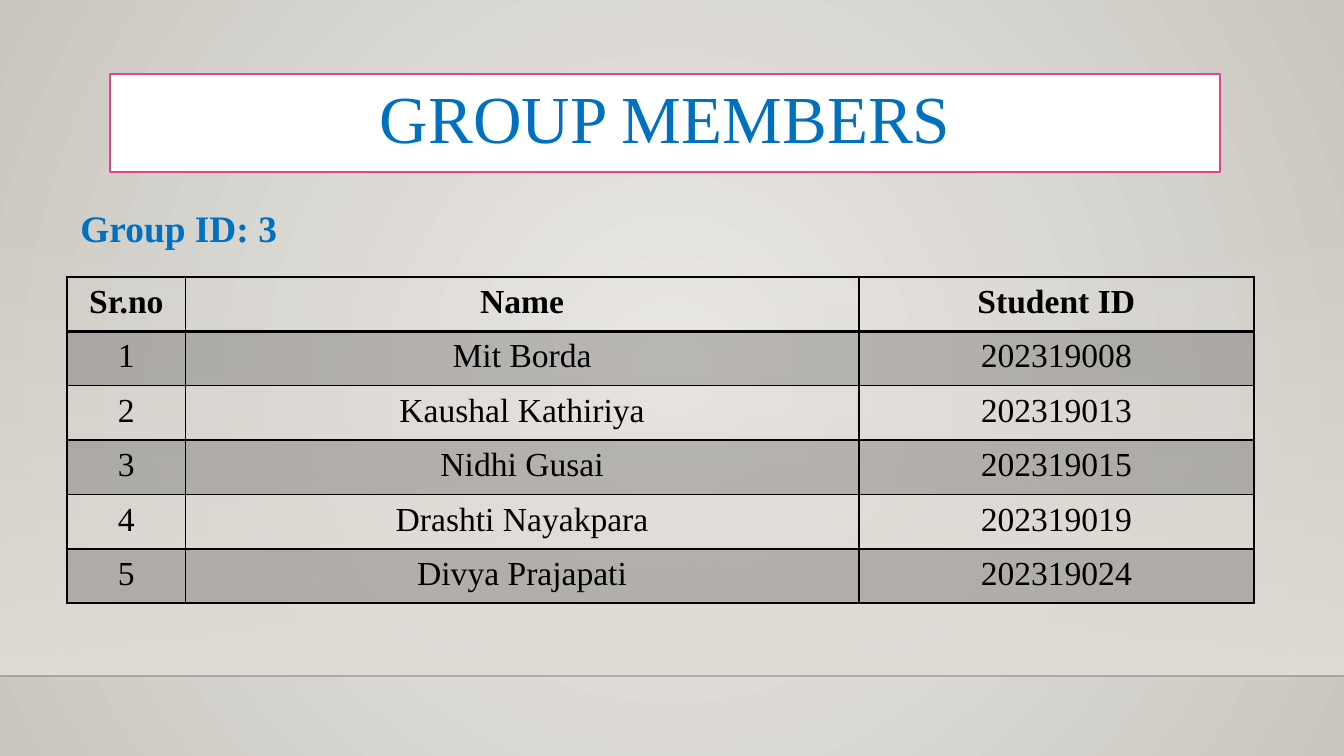
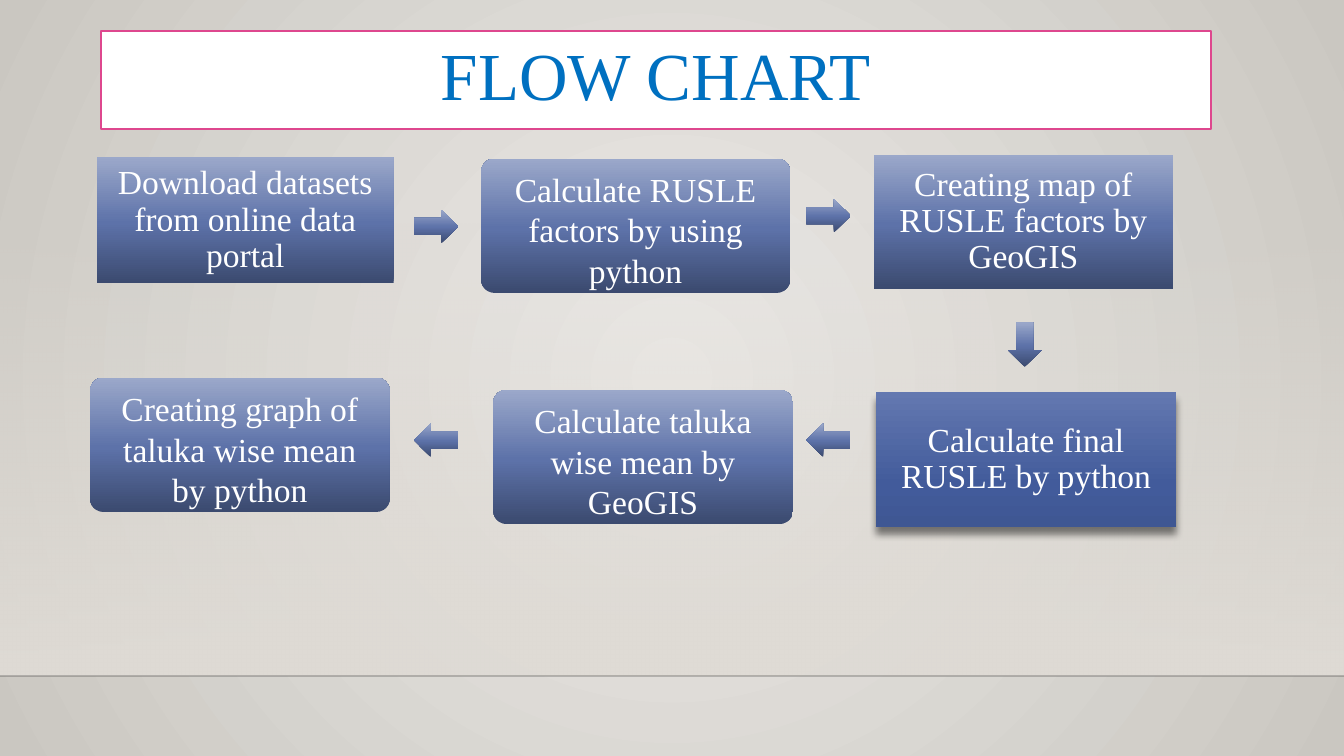
from dataclasses import dataclass
from lxml.etree import SubElement, fromstring
from pptx import Presentation
from pptx.dml.color import RGBColor
from pptx.enum.shapes import MSO_CONNECTOR, MSO_SHAPE
from pptx.enum.text import MSO_ANCHOR, PP_ALIGN
from pptx.oxml.ns import nsdecls, qn
from pptx.util import Pt

PX = 4572  # EMU in one px: 200 px to the inch
WIDE, HIGH = 2000, 1125


@dataclass(frozen=True)
class Theme:
    font: str = "Times New Roman"
    blue: str = "0070C0"
    pink: str = "DE478E"
    white: str = "FFFFFF"
    black: str = "000000"
    rule: str = "000001"
    # Gradient stops: position, colour, opacity, all in percent
    back: tuple = ((0, "ECEAE7", 100), (100, "CAC7C1", 100))
    band: tuple = ((0, "DFDBD5", 0), (100, "DFDBD5", 100))
    step: tuple = ((0, "3B4A6F", 100), (48, "5D72A9", 100), (100, "9BA8CA", 100))
    final: tuple = ((0, "6378B0", 100), (69, "425B9B", 100), (100, "3F5793", 100))
    title: int = 36
    label: int = 20
    body: int = 18


T = Theme()


def px(*nums):
    return [n * PX for n in nums]


def rgb(code):
    return RGBColor.from_string(code)


# --- XML parts ---

def tint(code, alpha=100):
    return f'<a:srgbClr val="{code}"><a:alpha val="{alpha * 1000}"/></a:srgbClr>'


def solid(code, alpha=100):
    return fromstring(f'<a:solidFill {nsdecls("a")}>{tint(code, alpha)}</a:solidFill>')


def blend(stops, angle=None):
    """Linear gradient at an angle, or a round one without it."""
    marks = "".join(f'<a:gs pos="{at * 1000}">{tint(code, alpha)}</a:gs>'
                    for at, code, alpha in stops)
    if angle is None:
        way = ('<a:path path="circle"><a:fillToRect l="50000" t="50000" '
               'r="50000" b="50000"/></a:path>')
    else:
        way = f'<a:lin ang="{angle * 60000}" scaled="0"/>'
    return fromstring(f'<a:gradFill {nsdecls("a")} rotWithShape="1">'
                      f'<a:gsLst>{marks}</a:gsLst>{way}</a:gradFill>')


def swap(props, fill):
    """Put a fill in the place of the empty one."""
    props.replace(props.find(qn("a:noFill")), fill)


# --- Elements ---

def write(frame, text, size, color, bold=False, align=PP_ALIGN.CENTER, space=None):
    para = frame.paragraphs[0]
    para.alignment = align
    if space:
        para.line_spacing = space
    run = para.add_run()
    run.text = text
    font = run.font
    font.name, font.size, font.bold = T.font, Pt(size), bold
    font.color.rgb = rgb(color)


def inset(frame, gap):
    frame.margin_left = frame.margin_right = gap * PX
    frame.margin_top = frame.margin_bottom = gap * PX


def block(slide, kind, place, stops, angle):
    shape = slide.shapes.add_shape(kind, *px(*place))
    shape.shadow.inherit = False
    shape.line.fill.background()
    shape.fill.background()
    swap(shape._element.spPr, blend(stops, angle))
    return shape


def scene(deck):
    """New slide with the floor band and its rule."""
    slide = deck.slides.add_slide(deck.slide_layouts[6])
    floor = 1006
    block(slide, MSO_SHAPE.RECTANGLE, (0, 332, WIDE, floor - 332), T.band, 90)
    rule = slide.shapes.add_connector(MSO_CONNECTOR.STRAIGHT, *px(0, floor, WIDE, floor))
    rule.line.width = Pt(1)
    rule.line.fill.background()
    swap(rule.line._get_or_add_ln(), solid(T.rule, 20))
    SubElement(rule._element.spPr, qn("a:effectLst"))
    return slide


def head(slide, text, left, top):
    box = slide.shapes.add_textbox(*px(left, top, 1652, 146))
    box.fill.solid()
    box.fill.fore_color.rgb = rgb(T.white)
    box.line.color.rgb = rgb(T.pink)
    box.line.width = Pt(1.25)
    frame = box.text_frame
    frame.word_wrap = True
    frame.vertical_anchor = MSO_ANCHOR.BOTTOM
    inset(frame, 20)
    write(frame, text, T.title, T.blue, space=0.9)


def label(slide, text, place):
    frame = slide.shapes.add_textbox(*px(*place)).text_frame
    frame.word_wrap = True
    write(frame, text, T.label, T.blue, True, PP_ALIGN.LEFT)


def edge(props, side, points):
    line = SubElement(props, qn(f"a:ln{side}"), w=str(Pt(points)))
    line.append(solid(T.black))


def grid(slide, rows, left, top, cols, tall):
    table = slide.shapes.add_table(len(rows), len(cols),
                                   *px(left, top, sum(cols), tall * len(rows))).table
    table.first_row = table.horz_banding = False
    for col, wide in zip(table.columns, cols):
        col.width = wide * PX
    for r, row in enumerate(rows):
        table.rows[r].height = tall * PX
        for c, text in enumerate(row):
            cell = table.cell(r, c)
            write(cell.text_frame, text, T.body, T.black, bold=r == 0)
            props = cell._tc.get_or_add_tcPr()
            for side in "LRTB":
                thick = (r, side) in ((0, "B"), (1, "T"))
                edge(props, side, 2 if thick else 1)
            if r % 2:
                props.append(solid(T.black, 20))
            else:
                SubElement(props, qn("a:noFill"))


def plain(slide, text, place, stops=T.step, angle=270):
    """Square step with its text in the middle."""
    shape = block(slide, MSO_SHAPE.RECTANGLE, place, stops, angle)
    frame = shape.text_frame
    frame.word_wrap = True
    frame.vertical_anchor = MSO_ANCHOR.MIDDLE
    inset(frame, 12)
    write(frame, text, T.body, T.white, space=0.9)
    return shape


def soft(slide, text, place):
    """Rounded step with its text at the top."""
    shape = block(slide, MSO_SHAPE.ROUNDED_RECTANGLE, place, T.step, 270)
    shape.adjustments[0] = 0.1
    frame = shape.text_frame
    frame.word_wrap = True
    frame.vertical_anchor = MSO_ANCHOR.TOP
    write(frame, text, T.body, T.white)


def shade(shape):
    glow = SubElement(shape._element.spPr.find(qn("a:effectLst")), qn("a:outerShdw"),
                      blurRad=str(Pt(4)), dist=str(Pt(4)), dir=str(90 * 60000),
                      algn="ctr", rotWithShape="0")
    glow.append(fromstring(tint(T.black, 48).replace(" val", f' {nsdecls("a")} val', 1)))


def arrow(slide, kind, left, top):
    size = (50, 66) if kind == MSO_SHAPE.DOWN_ARROW else (66, 50)
    block(slide, kind, (left, top, *size), T.step, 270)


# --- Slides ---

def members(deck):
    slide = scene(deck)
    head(slide, "GROUP MEMBERS", 164, 110)
    names = (("Mit Borda", "202319008"), ("Kaushal Kathiriya", "202319013"),
             ("Nidhi Gusai", "202319015"), ("Drashti Nayakpara", "202319019"),
             ("Divya Prajapati", "202319024"))
    rows = [("Sr.no", "Name", "Student ID")]
    rows += [(str(n), *pair) for n, pair in enumerate(names, 1)]
    grid(slide, rows, 100, 412, (176, 1002, 588), 81)
    label(slide, "Group ID: 3", (100, 296, 500, 88))


def flow(deck):
    slide = scene(deck)
    head(slide, "FLOW CHART", 150, 46)
    # Upper row, left to right
    plain(slide, "Download datasets from online data portal", (144, 234, 442, 188))
    soft(slide, "Calculate RUSLE factors by using python", (716, 236, 460, 200))
    plain(slide, "Creating map of RUSLE factors by GeoGIS", (1300, 230, 446, 200))
    # Lower row, right to left
    last = plain(slide, "Calculate final RUSLE by python", (1304, 584, 446, 200), T.final, 90)
    shade(last)
    soft(slide, "Calculate taluka wise mean by GeoGIS", (734, 580, 446, 200))
    soft(slide, "Creating graph of taluka wise mean by python", (134, 562, 446, 200))
    # Arrows between the steps
    for left, top in ((616, 312), (1200, 296)):
        arrow(slide, MSO_SHAPE.RIGHT_ARROW, left, top)
        arrow(slide, MSO_SHAPE.LEFT_ARROW, left, 630)
    arrow(slide, MSO_SHAPE.DOWN_ARROW, 1500, 480)


def main():
    deck = Presentation()
    deck.slide_width, deck.slide_height = px(WIDE, HIGH)
    # Shared backdrop
    master = deck.slide_master
    master.background.fill.background()
    swap(master._element.cSld.bg.bgPr, blend(T.back))
    members(deck)
    flow(deck)
    deck.save("out.pptx")


if __name__ == "__main__":
    main()
